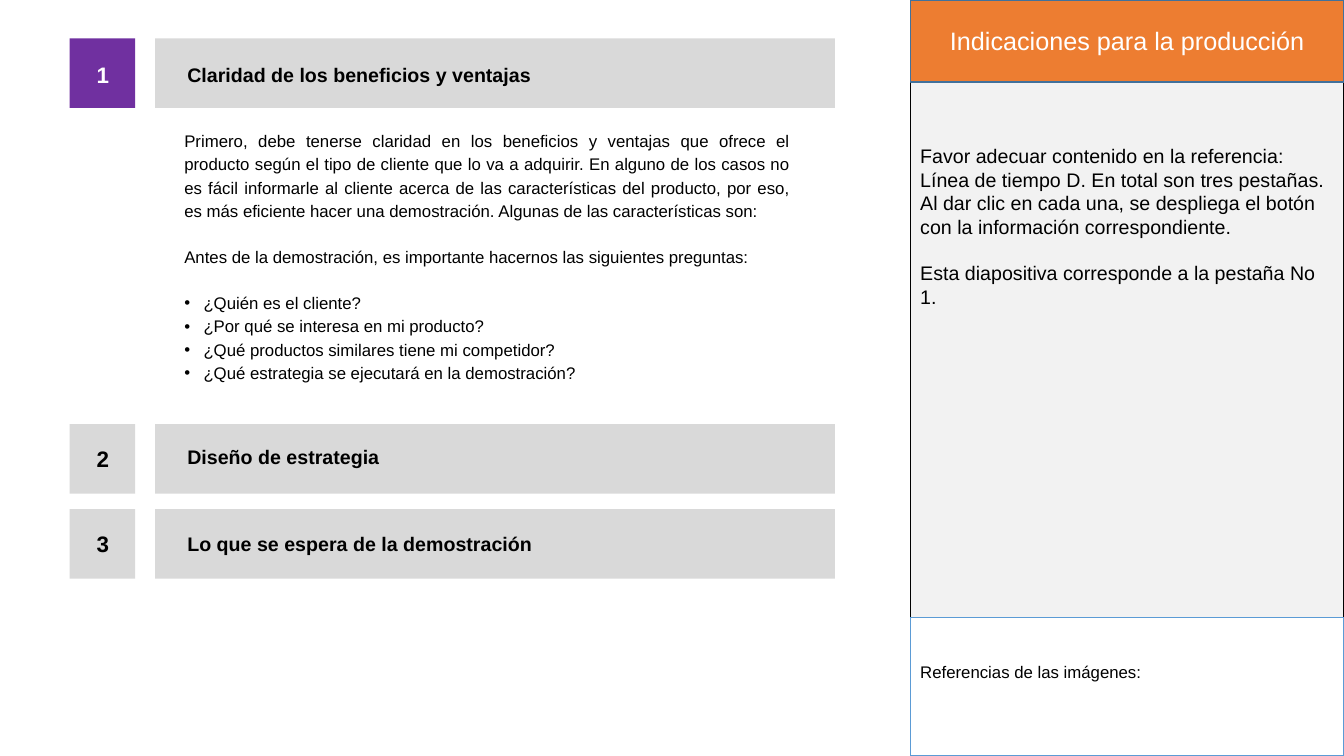
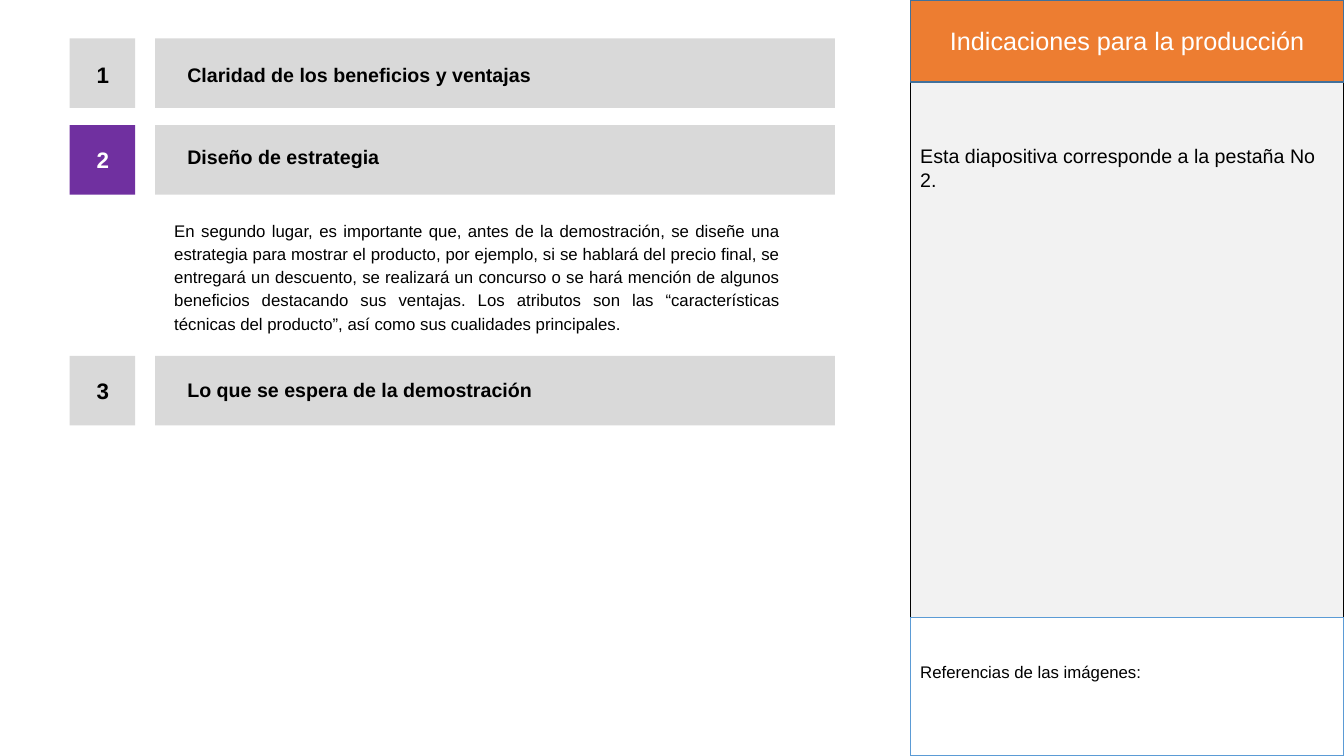
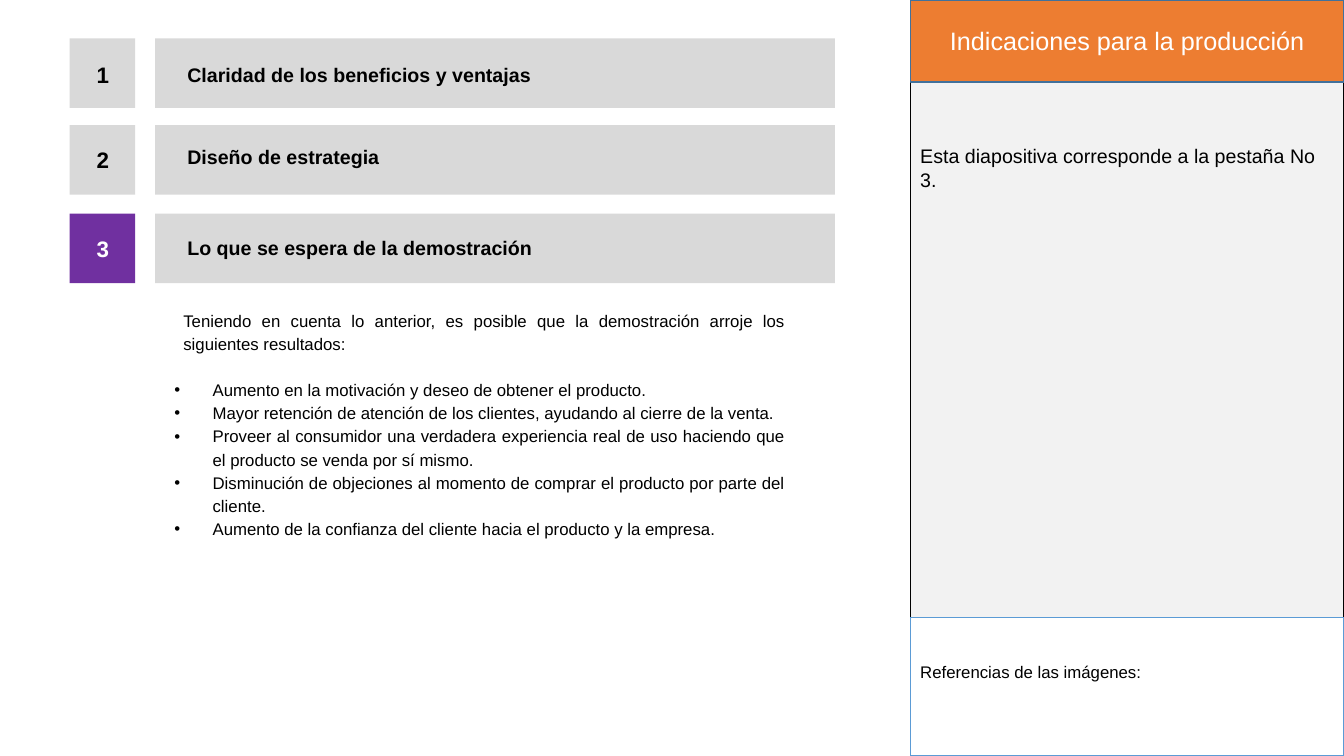
from pptx import Presentation
from pptx.dml.color import RGBColor as RGB
from pptx.enum.shapes import MSO_SHAPE as Shape
from pptx.enum.text import MSO_ANCHOR as Anchor, MSO_AUTO_SIZE as Auto, PP_ALIGN as Align
from pptx.oxml.ns import qn
from pptx.util import Pt
from lxml.etree import SubElement as Sub

BLACK = RGB(0x00, 0x00, 0x00)
WHITE = RGB(0xFF, 0xFF, 0xFF)
PURPLE = RGB(0x70, 0x30, 0xA0)
GREY = RGB(0xD9, 0xD9, 0xD9)
PALE = RGB(0xF2, 0xF2, 0xF2)
ORANGE = RGB(0xED, 0x7D, 0x31)
NAVY = RGB(0x42, 0x71, 0x9B)
BLUE = RGB(0x5B, 0x9B, 0xD5)

WIDTH, HEIGHT = 960, 540
SIDE = 650.2
SPAN = WIDTH - SIDE
GAP = 16.5
ROW = 49.7
TABS = [
    ("Claridad de los beneficios y ventajas", 265, 13, 13.7),
    ("Diseño de estrategia", 152, 11.3, 11),
    ("Lo que se espera de la demostración", 262, 11.5, 12.5),
]


def apply(item, values):
    for name, value in values.items():
        setattr(item, name, value)


def para(text, gap=0, align=Align.JUSTIFY, left=6.5, hang=0):
    return {"text": text, "gap": gap, "align": align,
            "left": left, "hang": hang, "line": 1.15}


def note(text, gap=0):
    return {"text": text, "gap": gap}


class Deck:
    font = {"name": "Arial", "size": Pt(12), "bold": False}

    def __init__(self):
        self.show = Presentation()
        apply(self.show, {"slide_width": Pt(WIDTH), "slide_height": Pt(HEIGHT)})
        self.slide = None

    def page(self):
        self.slide = self.show.slides.add_slide(self.show.slide_layouts[6])

    def box(self, x, y, w, h, fill, line=None):
        box = self.slide.shapes.add_shape(
            Shape.RECTANGLE, Pt(x), Pt(y), Pt(w), Pt(h))
        box.shadow.inherit = False
        box.fill.solid()
        box.fill.fore_color.rgb = fill
        if line is None:
            box.line.fill.background()
        else:
            box.line.color.rgb = line
            box.line.width = Pt(1)
        return box

    def fill(self, shape, paras, size=12, color=BLACK, bold=False, **frame):
        body = shape.text_frame
        apply(body, {"word_wrap": True, **frame})
        for i, data in enumerate(paras):
            item = body.paragraphs[0] if i == 0 else body.add_paragraph()
            apply(item, {"alignment": data.get("align", Align.LEFT),
                         "space_after": Pt(data.get("gap", 0)),
                         "line_spacing": data.get("line", 1.0)})
            run = item.add_run()
            run.text = data["text"]
            apply(run.font, {**self.font, "size": Pt(size), "bold": bold})
            run.font.color.rgb = color
            self.indent(item, data.get("left", 0), data.get("hang", 0))

    def indent(self, item, left, hang):
        props = item._p.get_or_add_pPr()
        props.set("marL", str(Pt(left)))
        props.set("indent", str(Pt(-hang)))
        if hang:
            tint = Sub(props, qn("a:buClr"))
            Sub(tint, qn("a:srgbClr"), val=str(BLACK))
            Sub(props, qn("a:buFont"), typeface="Arial")
            Sub(props, qn("a:buChar"), char="•")

    def text(self, x, y, w, h, paras, **style):
        shape = self.slide.shapes.add_textbox(Pt(x), Pt(y), Pt(w), Pt(h))
        self.fill(shape, paras, **style)

    def label(self, x, y, w, h, text, **style):
        self.text(x, y, w, h, [note(text)], bold=True, word_wrap=False,
                  auto_size=Auto.SHAPE_TO_FIT_TEXT, **style)

    def panel(self, notes):
        self.box(SIDE, 0, SPAN, HEIGHT, PALE, BLACK)
        self.text(SIDE, 99.4, SPAN, 237.6, notes, size=14)
        head = self.box(SIDE, 0, SPAN, 58.5, ORANGE, NAVY)
        self.fill(head, [{"text": "Indicaciones para la producción",
                          "align": Align.CENTER}],
                  size=18, color=WHITE, vertical_anchor=Anchor.MIDDLE)
        foot = self.box(SIDE, 441.2, SPAN, HEIGHT - 441.2, WHITE, BLUE)
        self.fill(foot, [note("Referencias de las imágenes:")],
                  vertical_anchor=Anchor.MIDDLE, margin_bottom=Pt(24.5))

    def tabs(self, tops, active):
        for i, (top, tab) in enumerate(zip(tops, TABS), 1):
            title, width, drop, fall = tab
            live = i == active
            self.box(49.7, top, 46.8, ROW, PURPLE if live else GREY)
            self.box(110.9, top, 485.5, ROW, GREY)
            self.label(61.9, top + drop, 23.8, 26.6, str(i), size=16,
                       color=WHITE if live else BLACK)
            self.label(126.7, top + fall, width, 24.2, title, size=14)

    def body(self, x, y, w, h, paras):
        self.text(x, y, w, h, paras, auto_size=Auto.SHAPE_TO_FIT_TEXT)


PAGES = [
    {
        "notes": [
            note("Favor adecuar contenido en la referencia: Línea de tiempo D. "
                 "En total son tres pestañas. Al dar clic en cada una, se "
                 "despliega el botón con la información correspondiente.", GAP),
            note("Esta diapositiva corresponde a la pestaña No 1."),
        ],
        "tops": (27.4, 303, 363.6),
        "area": (118.1, 87.8, 453.6, 190),
        "paras": [
            para("Primero, debe tenerse claridad en los beneficios y ventajas "
                 "que ofrece el producto según el tipo de cliente que lo va a "
                 "adquirir. En alguno de los casos no es fácil informarle al "
                 "cliente acerca de las características del producto, por eso, "
                 "es más eficiente hacer una demostración. Algunas de las "
                 "características son:", GAP),
            para("Antes de la demostración, es importante hacernos las "
                 "siguientes preguntas:", GAP, Align.LEFT),
            *(para(ask, align=Align.LEFT, left=20.2, hang=13.7) for ask in (
                "¿Quién es el cliente?",
                "¿Por qué se interesa en mi producto?",
                "¿Qué productos similares tiene mi competidor?",
                "¿Qué estrategia se ejecutará en la demostración?")),
        ],
    },
    {
        "notes": [note("Esta diapositiva corresponde a la pestaña No 2.")],
        "tops": (27.4, 89.3, 254.2),
        "area": (110.9, 151.9, 453.6, 90.7),
        "paras": [
            para("En segundo lugar, es importante que, antes de la "
                 "demostración, se diseñe una estrategia para mostrar el "
                 "producto, por ejemplo, si se hablará del precio final, se "
                 "entregará un descuento, se realizará un concurso o se hará "
                 "mención de algunos beneficios destacando sus ventajas. Los "
                 "atributos son las “características técnicas del producto”, "
                 "así como sus cualidades principales."),
        ],
    },
    {
        "notes": [note("Esta diapositiva corresponde a la pestaña No 3.")],
        "tops": (27.4, 89.3, 152.6),
        "area": (117.4, 216, 450.7, 172.8),
        "paras": [
            para("Teniendo en cuenta lo anterior, es posible que la "
                 "demostración arroje los siguientes resultados:", GAP),
            *(para(gain, left=27.4, hang=27.4) for gain in (
                "Aumento en la motivación y deseo de obtener el producto.",
                "Mayor retención de atención de los clientes, ayudando al "
                "cierre de la venta.",
                "Proveer al consumidor una verdadera experiencia real de uso "
                "haciendo que el producto se venda por sí mismo.",
                "Disminución de objeciones al momento de comprar el producto "
                "por parte del cliente.",
                "Aumento de la confianza del cliente hacia el producto y la "
                "empresa.")),
        ],
    },
]


def main():
    deck = Deck()
    for i, page in enumerate(PAGES, 1):
        deck.page()
        deck.panel(page["notes"])
        deck.tabs(page["tops"], i)
        deck.body(*page["area"], page["paras"])
    deck.show.save("out.pptx")


if __name__ == "__main__":
    main()
